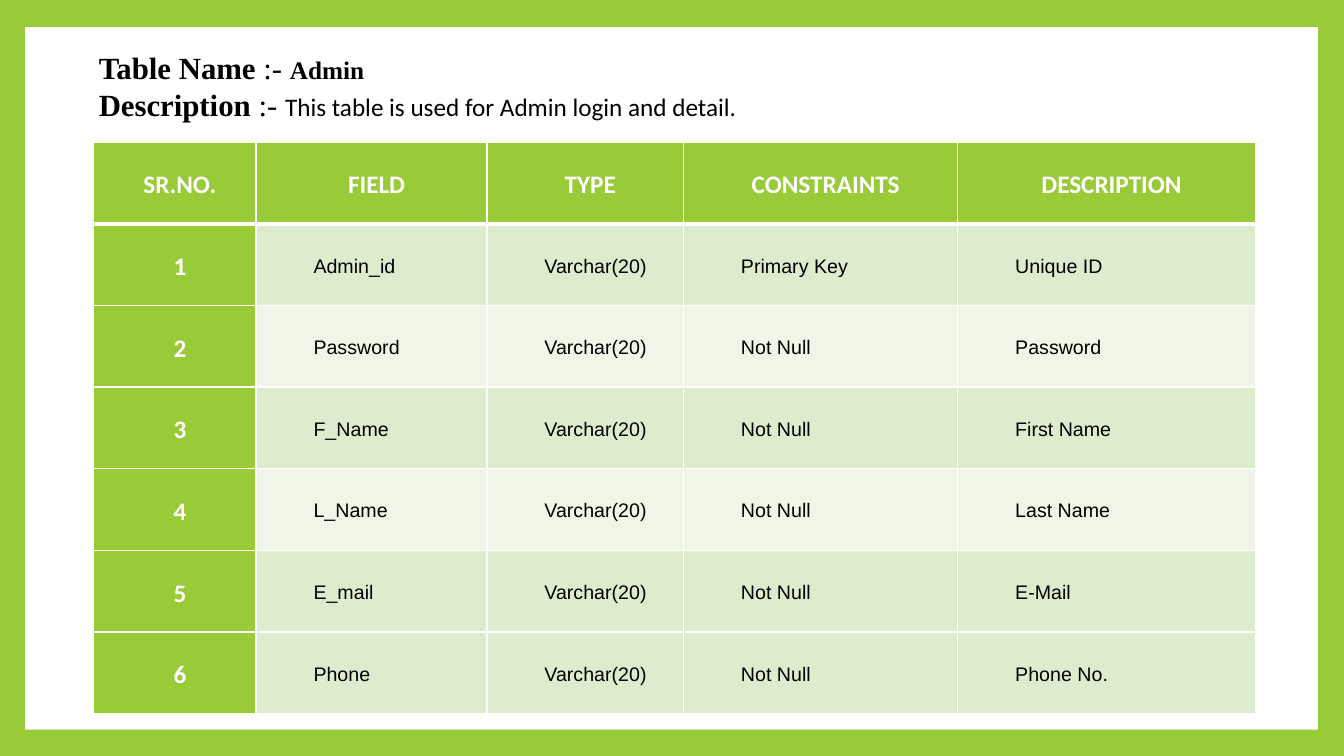
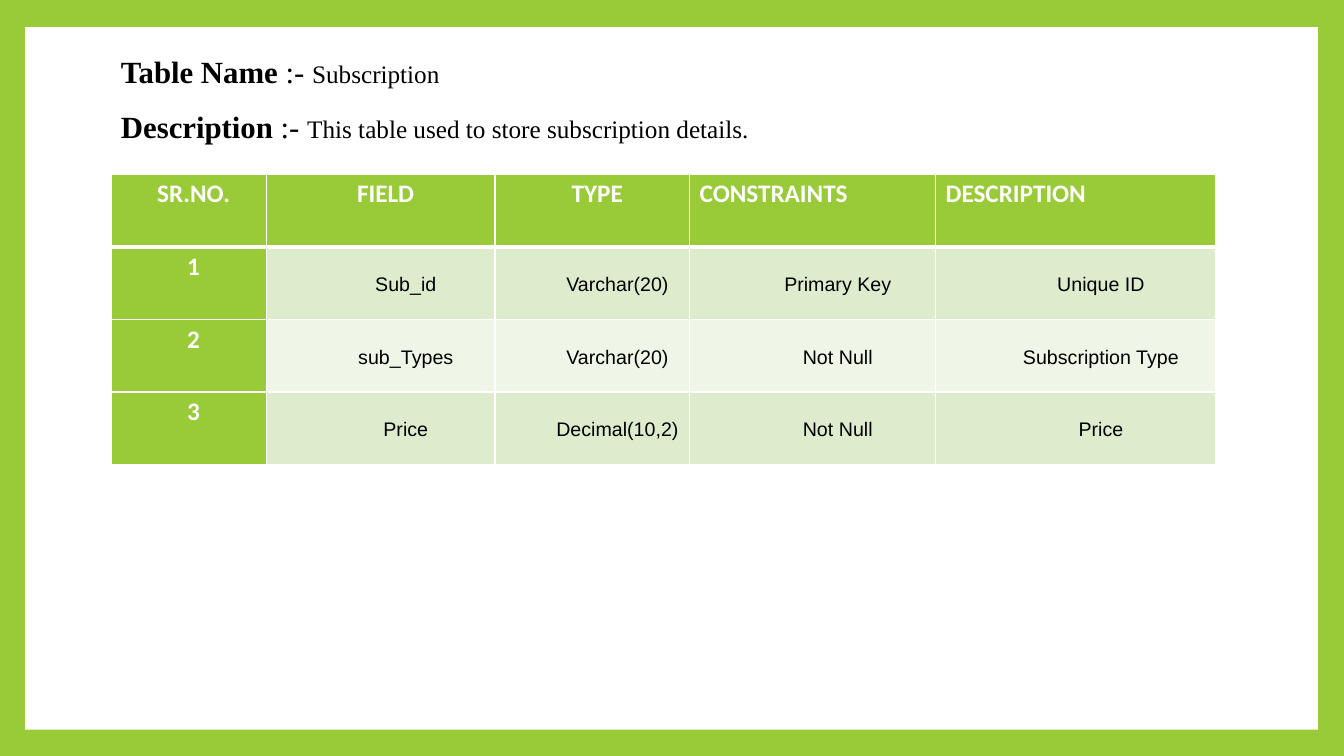
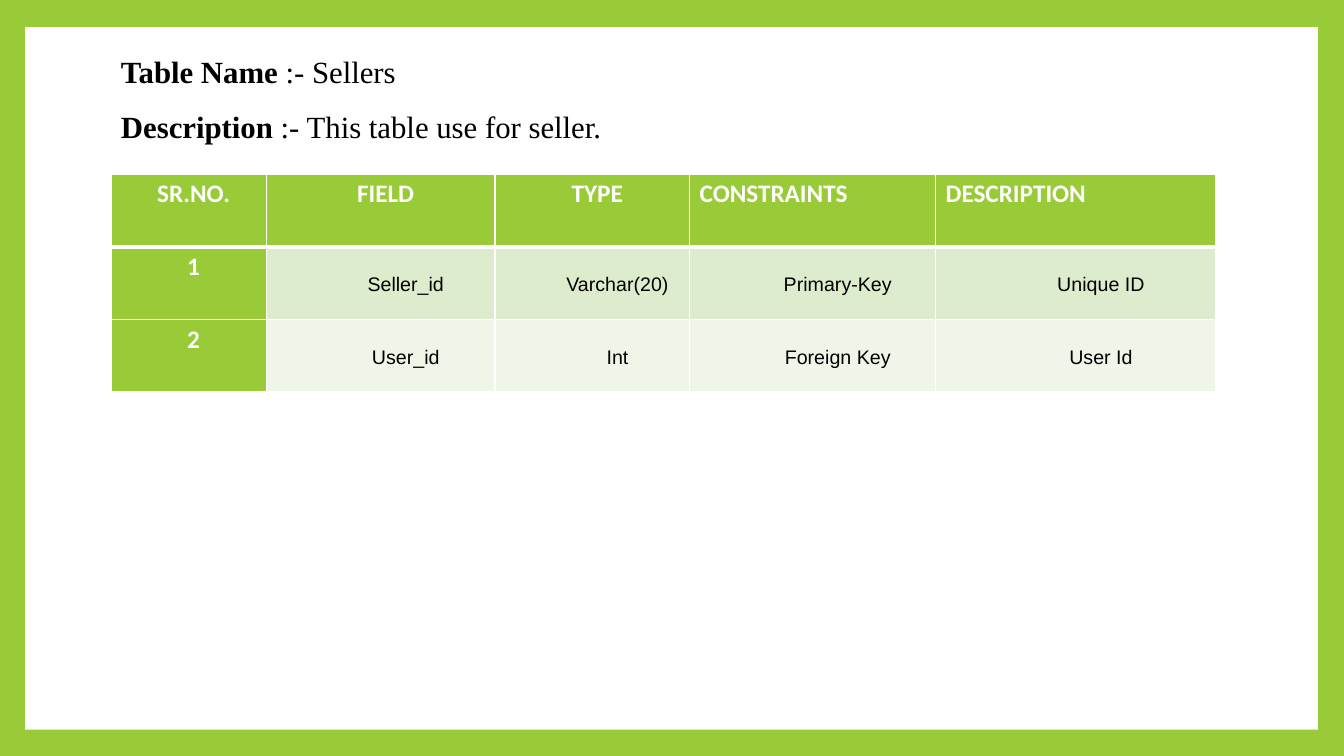
from lxml.etree import SubElement
from pptx import Presentation
from pptx.dml.color import RGBColor
from pptx.enum.shapes import MSO_SHAPE
from pptx.enum.text import MSO_ANCHOR, MSO_AUTO_SIZE, PP_ALIGN
from pptx.oxml.ns import qn
from pptx.util import Inches, Pt

GREEN = RGBColor(0x99, 0xCB, 0x38)
BAND = RGBColor(0xDE, 0xEC, 0xCE)
PALE_BAND = RGBColor(0xEF, 0xF6, 0xE8)
WHITE = RGBColor(0xFF, 0xFF, 0xFF)
BLACK = RGBColor(0, 0, 0)
SERIF, SANS, BODY = "Times New Roman", "Calibri", "Arial"
LEFT, CENTER = PP_ALIGN.LEFT, PP_ALIGN.CENTER
TOP, MIDDLE = MSO_ANCHOR.TOP, MSO_ANCHOR.MIDDLE

COLUMNS = ["SR.NO.", "FIELD", "TYPE", "CONSTRAINTS", "DESCRIPTION"]
PALE_ROWS = (2, 4)

# Placement shared by the slides with a centred table
CENTRED = {
    "heading_box": (1.1, 0.29, 9.87, 1.07), "heading_spacing": 1.5,
    "table_at": (1.1, 1.73), "widths": [1.54, 2.27, 1.93, 2.44, 2.78],
    "row_height": 0.72, "green_anchor": TOP, "body_align": CENTER,
    "header_aligns": [CENTER, CENTER, CENTER, LEFT, LEFT],
}

# Each heading value is text, size, bold, font
SLIDES = [
    {
        "heading_box": (0.88, 0.43, 9.22, 0.99), "heading_spacing": 1.0,
        "table_at": (0.93, 1.41), "widths": [1.61, 2.29, 1.95, 2.72, 2.95],
        "row_height": 0.81, "green_anchor": MIDDLE, "body_align": LEFT,
        "header_aligns": [CENTER] * 5,
        "name": ("Admin", 18, True, SERIF),
        "description": ("This table is used for Admin login and detail.", 18, False, SANS),
        "fields": [
            ("Admin_id", "Varchar(20)", "Primary Key", "Unique ID"),
            ("Password", "Varchar(20)", "Not Null", "Password"),
            ("F_Name", "Varchar(20)", "Not Null", "First Name"),
            ("L_Name", "Varchar(20)", "Not Null", "Last Name"),
            ("E_mail", "Varchar(20)", "Not Null", "E-Mail"),
            ("Phone", "Varchar(20)", "Not Null", "Phone No."),
        ],
    },
    {
        **CENTRED,
        "name": ("Subscription", 18, False, SERIF),
        "description": ("This table used to store subscription details.", 18, False, SERIF),
        "fields": [
            ("Sub_id", "Varchar(20)", "Primary Key", "Unique ID"),
            ("sub_Types", "Varchar(20)", "Not Null", "Subscription Type"),
            ("Price", "Decimal(10,2)", "Not Null", "Price"),
        ],
    },
    {
        **CENTRED,
        "name": ("Sellers", 22, False, SERIF),
        "description": ("This table use for seller.", 22, False, SERIF),
        "fields": [
            ("Seller_id", "Varchar(20)", "Primary-Key", "Unique ID"),
            ("User_id", "Int", "Foreign Key", "User Id"),
        ],
    },
]


def style_font(font, size, bold, name, color):
    font.size, font.bold, font.name = Pt(size), bold, name
    font.color.rgb = color


def add_borders(cell, top, bottom):
    """Draw white borders; must run before the cell is filled."""
    properties = cell._tc.get_or_add_tcPr()
    for side, points in (("L", 1), ("R", 1), ("T", top), ("B", bottom)):
        line = SubElement(properties, qn(f"a:ln{side}"), w=str(Pt(points)))
        fill = SubElement(line, qn("a:solidFill"))
        SubElement(fill, qn("a:srgbClr"), val=str(WHITE))


prs = Presentation()
prs.slide_width, prs.slide_height = Inches(13.33), Inches(7.5)
title_only = prs.slide_layouts[5]

# Green frame with a white panel, kept on the master
master = prs.slide_master
master.background.fill.solid()
master.background.fill.fore_color.rgb = GREEN
first_slide = prs.slides.add_slide(title_only)
panel = first_slide.shapes.add_shape(
    MSO_SHAPE.RECTANGLE, Inches(0.25), Inches(0.27), Inches(12.82), Inches(6.97))
panel.shadow.inherit = False
panel.fill.solid()
panel.fill.fore_color.rgb = WHITE
panel.line.fill.background()
panel._element.nvSpPr.cNvPr.set("id", "20")
master.shapes._spTree.insert(2, panel._element)

for number, content in enumerate(SLIDES):
    slide = first_slide if number == 0 else prs.slides.add_slide(title_only)

    # Heading: table name and description
    heading = slide.shapes.title
    heading.left, heading.top, heading.width, heading.height = map(
        Inches, content["heading_box"])
    frame = heading.text_frame
    frame.word_wrap = True
    frame.auto_size = MSO_AUTO_SIZE.NONE
    frame.vertical_anchor = TOP
    frame.text = "Table Name\nDescription"
    for paragraph, value in zip(frame.paragraphs, (content["name"], content["description"])):
        paragraph.alignment = LEFT
        paragraph.line_spacing = content["heading_spacing"]
        style_font(paragraph.runs[0].font, 22, True, SERIF, BLACK)
        for text, size, bold, name in ((" :- ", 22, False, SERIF), value):
            run = paragraph.add_run()
            run.text = text
            style_font(run.font, size, bold, name, BLACK)

    # Table of fields
    rows = [COLUMNS] + [(str(i), *field) for i, field in enumerate(content["fields"], 1)]
    left, top = map(Inches, content["table_at"])
    row_height = Inches(content["row_height"])
    table = slide.shapes.add_table(
        len(rows), len(COLUMNS), left, top,
        Inches(sum(content["widths"])), row_height * len(rows)).table
    table.first_col = True
    table.horz_banding = False
    for column, width in zip(table.columns, content["widths"]):
        column.width = Inches(width)

    for r, row in enumerate(rows):
        table.rows[r].height = row_height
        for c, text in enumerate(row):
            cell = table.cell(r, c)
            is_green = r == 0 or c == 0
            add_borders(cell, top=3 if r == 1 else 1, bottom=3 if r == 0 else 1)
            cell.fill.solid()
            cell.margin_top = cell.margin_bottom = 0
            cell.margin_left = cell.margin_right = 0 if is_green else Inches(0.07)
            cell.text_frame.text = text
            paragraph = cell.text_frame.paragraphs[0]
            paragraph.line_spacing = 1.15
            indent = Inches(0.1 if is_green else 0.5)
            paragraph._p.get_or_add_pPr().set("marL", str(indent))
            font = paragraph.runs[0].font
            if is_green:
                cell.fill.fore_color.rgb = GREEN
                cell.vertical_anchor = content["green_anchor"]
                paragraph.alignment = content["header_aligns"][c]
                style_font(font, 18, True, SANS, WHITE)
            else:
                cell.fill.fore_color.rgb = PALE_BAND if r in PALE_ROWS else BAND
                cell.vertical_anchor = MIDDLE
                paragraph.alignment = content["body_align"]
                style_font(font, 14, False, BODY, BLACK)

prs.save("out.pptx")
